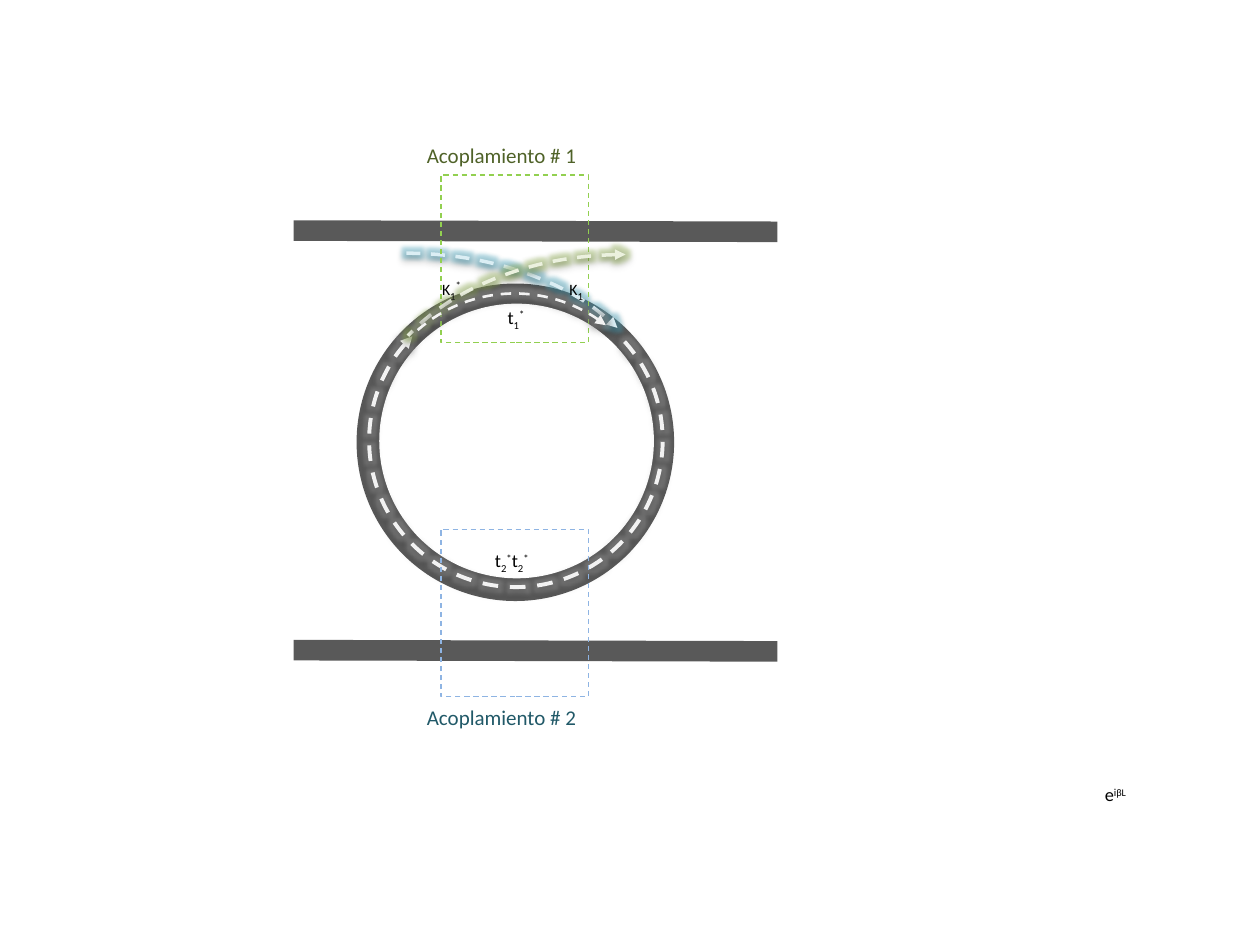
from lxml import etree
from pptx import Presentation
from pptx.dml.color import RGBColor
from pptx.enum import dml, shapes
from pptx.oxml import ns
from pptx.util import Inches, Pt

COLORS = {
    "guide": "595959", "white": "FFFFFF", "black": "000000",
    "title1": "4F6228", "title2": "215968",
    "zone1": "92D050", "zone2": "8EB4E3",
    "blue": "DBEEF4", "blue_glow": "4BACC6",
    "green": "EBF1DE", "green_glow": "9BBB59",
    "light": "F2F2F2", "gray_glow": "A6A6A6",
}
SUB, SUPER = -25, 30


def rgb(name):
    return RGBColor.from_string(COLORS[name])


def child(parent, tag, **attributes):
    return etree.SubElement(parent, ns.qn(tag), **attributes)


def write_run(paragraph, text, size=10.5, color="black", base=0):
    run = paragraph.add_run()
    run.text = text
    run.font.name = "Calibri"
    run.font.size = Pt(size)
    run.font.color.rgb = rgb(color)
    if base:
        run.font._element.set("baseline", str(base * 1000))


class Diagram:
    def __init__(self, slide):
        self.slide = slide

    def outline(self, line, color, width, dashed=False):
        line.color.rgb = rgb(color)
        line.width = Pt(width)
        if dashed:
            line.dash_style = dml.MSO_LINE.DASH

    def waveguide(self, top):
        bar = self.slide.shapes.add_connector(
            shapes.MSO_CONNECTOR.STRAIGHT,
            Inches(2.33), Inches(top), Inches(6.17), Inches(top + 0.01))
        self.outline(bar.line, "guide", 11.75)
        child(bar._element.spPr, "a:effectLst")

    def ring(self, *discs):
        group = self.slide.shapes.add_group_shape()
        for left, top, size, color in discs:
            disc = group.shapes.add_shape(
                shapes.MSO_SHAPE.OVAL,
                Inches(left), Inches(top), Inches(size), Inches(size))
            disc.fill.solid()
            disc.fill.fore_color.rgb = rgb(color)
            disc.line.fill.background()
            disc.shadow.inherit = False

    def zone(self, top, color):
        frame = self.slide.shapes.add_shape(
            shapes.MSO_SHAPE.RECTANGLE,
            Inches(3.5), Inches(top), Inches(1.17), Inches(1.33))
        frame.fill.background()
        self.outline(frame.line, color, 0.75, dashed=True)
        frame.shadow.inherit = False

    def light_path(self, box, angles, color, glow, width, end, flip=None):
        path = self.slide.shapes.add_shape(
            shapes.MSO_SHAPE.ARC, *(Inches(length) for length in box))
        path.adjustments[0], path.adjustments[1] = angles
        path.fill.background()
        self.outline(path.line, color, width, dashed=True)
        path.shadow.inherit = False
        properties = path._element.spPr
        if flip:
            properties.find(ns.qn("a:xfrm")).set(flip, "1")
        child(properties.find(ns.qn("a:ln")), end, type="triangle")
        effects = properties.find(ns.qn("a:effectLst"))
        halo = child(effects, "a:glow", rad=str(Pt(5)))
        tint = child(halo, "a:srgbClr", val=COLORS[glow])
        child(tint, "a:alpha", val="40000")
        shadow = child(effects, "a:outerShdw", blurRad=str(Pt(3.1)),
                       dist=str(Pt(1.6)), dir="5400000", rotWithShape="0")
        shade = child(shadow, "a:srgbClr", val=COLORS["black"])
        child(shade, "a:alpha", val="38000")

    def label(self, box, *runs):
        frame = self.slide.shapes.add_textbox(
            *(Inches(length) for length in box)).text_frame
        frame.word_wrap = True
        for text, style in runs:
            write_run(frame.paragraphs[0], text, **style)


def main():
    deck = Presentation()
    deck.slide_width, deck.slide_height = Inches(10), Inches(7.5)
    diagram = Diagram(deck.slides.add_slide(deck.slide_layouts[6]))

    one, two = ("1", {"base": SUB}), ("2", {"base": SUB})
    star = ("*", {"base": SUPER})
    kappa, t = ("Κ", {"size": 9}), ("t", {})

    diagram.waveguide(1.83)
    diagram.ring((2.83, 2.25, 2.52, "guide"), (3.01, 2.41, 2.18, "white"))
    diagram.waveguide(5.16)
    diagram.label((3.29, 1.08, 1.6, 0.3),
                  ("Acoplamiento # 1", {"size": 12, "color": "title1"}))
    diagram.light_path((1.19, 2.01, 4.07, 2.74), (162, 201.07),
                       "blue", "blue_glow", 2, "a:tailEnd")
    diagram.light_path((2.93, 2.33, 2.33, 2.33), (80.91, 26.91),
                       "light", "gray_glow", 2.25, "a:headEnd", "flipV")
    diagram.label((4.42, 2.15, 0.42, 0.25), kappa, one)
    diagram.label((3.83, 4.31, 0.5, 0.4), t, two, star, t, two, star)
    diagram.zone(1.39, "zone1")
    diagram.zone(4.2, "zone2")
    diagram.label((3.29, 5.54, 1.6, 0.3),
                  ("Acoplamiento # 2", {"size": 12, "color": "title2"}))
    diagram.light_path((2.93, 2.02, 4.07, 2.74), (162, 202.33),
                       "green", "green_glow", 2, "a:headEnd", "flipH")
    diagram.label((3.41, 2.15, 0.42, 0.25), kappa, one, star)
    diagram.label((8.67, 6.17, 0.5, 0.28), ("e", {}), ("i", {"base": SUPER}),
                  ("βL", {"size": 10, "base": SUPER}))
    diagram.label((3.93, 2.38, 0.42, 0.29), t, one, star)
    diagram.light_path((2.92, 2.33, 2.33, 2.33), (30.97, 79.64),
                       "light", "gray_glow", 1.5, "a:headEnd", "flipV")

    deck.save("out.pptx")


if __name__ == "__main__":
    main()
